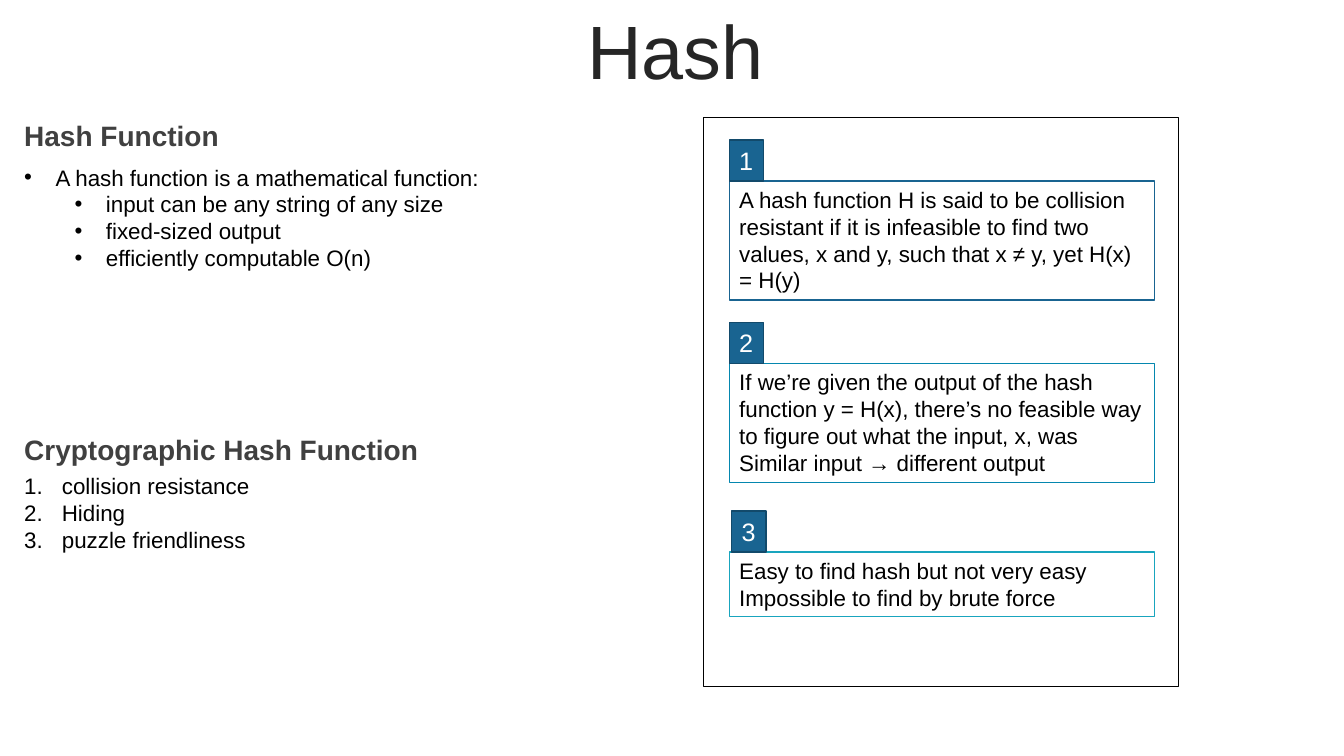
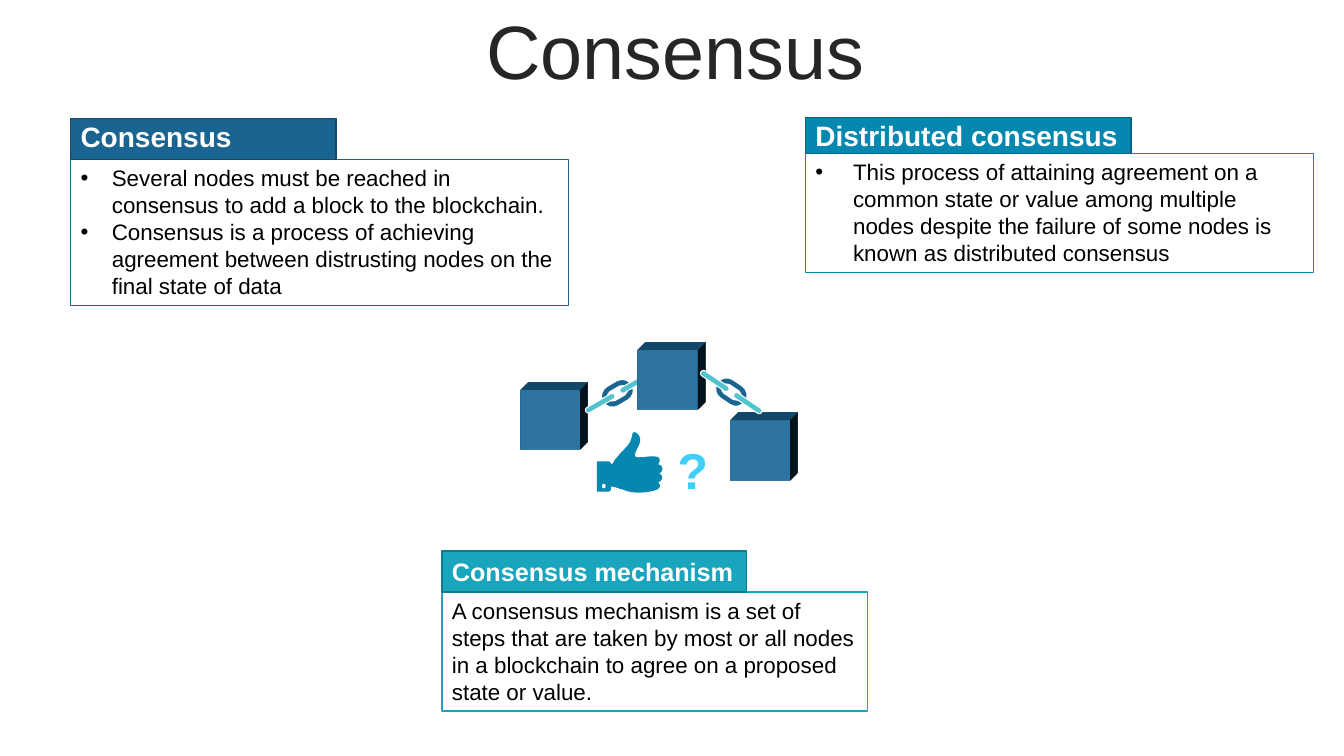
"""Build two slides on hash functions and consensus."""
from math import cos, radians, sin
from typing import NamedTuple

from lxml import etree
from pptx import Presentation
from pptx.dml.color import RGBColor
from pptx.enum.shapes import MSO_SHAPE
from pptx.enum.text import MSO_ANCHOR, PP_ALIGN
from pptx.oxml.ns import qn
from pptx.shapes.base import BaseShape
from pptx.slide import Slide
from pptx.util import Cm, Pt

RECT, PILL = MSO_SHAPE.RECTANGLE, MSO_SHAPE.ROUNDED_RECTANGLE
TOP, MIDDLE = MSO_ANCHOR.TOP, MSO_ANCHOR.MIDDLE
LEFT, CENTER = PP_ALIGN.LEFT, PP_ALIGN.CENTER

FONT = "Arial"
COLORS = {
    "black": "000000", "white": "FFFFFF", "title": "262626", "heading": "404040",
    "navy": "196491", "navy_edge": "124A6B", "blue": "0587AF", "blue_edge": "046481",
    "teal": "19A5BE", "teal_edge": "127A8D", "pin": "53C3CD", "question": "3FCDFA",
}
CUBE_SIDE, CUBE_DEPTH = 1.5, 0.94
RING_STRAIGHT, RING_OUTER, RING_INNER, ARC = 0.28, 0.28, 0.13, 0.55
PIN_WIDTH, PIN_HEIGHT, PIN_OFFSET = 0.84, 0.15, 0.5
THUMB_UNIT = 1.65 / 65
THUMB_HAND = [
    (37, 0), (39, 0, 42, 2, 43, 6), (45, 13, 32, 25, 41, 25), (47, 25, 50, 24, 57, 24),
    (63, 24, 64, 28, 61, 32), (65, 32, 68, 38, 62, 41), (68, 44, 64, 49, 61, 50),
    (64, 53, 63, 55, 60, 57), (53, 60, 36, 62, 26, 57), (21, 56, 18, 54, 14, 54),
    (14, 57), (14, 58, 13, 59, 12, 59), (0, 59), (0, 29), (12, 29),
    (13, 29, 14, 30, 14, 31), (14, 32), (15, 32, 15, 32, 16, 31),
    (17, 29, 18, 27, 21, 24), (26, 17, 33, 14, 35, 4), (35, 1, 36, 0, 37, 0),
]
THUMB_BUTTON = [
    (7, 51), (6, 51, 5, 52, 5, 54), (5, 55, 6, 56, 7, 56),
    (8, 56, 9, 55, 9, 54), (9, 52, 8, 51, 7, 51),
]
Contour = list[tuple[float, ...]]
Box = tuple[float, float, float, float]


class Line(NamedTuple):
    """One paragraph, with its list mark and indent in centimetres."""
    text: str
    mark: str = ""
    margin: float = 0
    hang: float = 0


class Card(NamedTuple):
    """A bordered body with a filled header standing on its top edge."""
    header: str
    header_size: tuple[float, float]
    header_format: dict
    body: list[Line]
    box: Box
    edge: str
    header_fill: str
    shift: float = 0


def color(key: str) -> RGBColor:
    """Look up a palette colour."""
    return RGBColor.from_string(COLORS[key])


def write(shape: BaseShape, lines: list[Line], *, size: float = 16, ink: str = "black",
          bold: bool = False, align: PP_ALIGN = LEFT, anchor: MSO_ANCHOR = TOP,
          spacing: float | None = None, wrap: bool = True) -> None:
    """Fill a shape with formatted paragraphs."""
    frame = shape.text_frame
    frame.word_wrap, frame.vertical_anchor = wrap, anchor
    for index, line in enumerate(lines):
        paragraph = frame.add_paragraph() if index else frame.paragraphs[0]
        if line.mark:
            properties = paragraph._p.get_or_add_pPr()
            properties.set("marL", str(Cm(line.margin)))
            properties.set("indent", str(-Cm(line.hang)))
            etree.SubElement(properties, qn("a:buFont")).set("typeface", FONT)
            if line.mark == "•":
                etree.SubElement(properties, qn("a:buChar")).set("char", line.mark)
            else:
                etree.SubElement(properties, qn("a:buAutoNum")).set("type", "arabicPeriod")
        paragraph.alignment = align
        if spacing:
            paragraph.line_spacing = spacing
        run = paragraph.add_run()
        run.text = line.text
        run.font.name, run.font.size, run.font.bold = FONT, Pt(size), bold
        run.font.color.rgb = color(ink)


def paint(shape: BaseShape, fill: str = "", edge: str = "", weight: float = 1) -> None:
    """Set the fill and outline of a shape and drop its shadow."""
    shape.shadow.inherit = False
    if fill:
        shape.fill.solid()
        shape.fill.fore_color.rgb = color(fill)
    else:
        shape.fill.background()
    if edge:
        shape.line.color.rgb = color(edge)
        shape.line.width = Pt(weight)
    else:
        shape.line.fill.background()


def block(slide: Slide, box: Box, fill: str = "", edge: str = "", weight: float = 1,
          kind: MSO_SHAPE = RECT) -> BaseShape:
    """Draw a preset shape at a box in centimetres."""
    shape = slide.shapes.add_shape(kind, *map(Cm, box))
    paint(shape, fill, edge, weight)
    return shape


def label(slide: Slide, box: Box, lines: list[Line], **text_format) -> None:
    """Place free text at a box in centimetres."""
    write(slide.shapes.add_textbox(*map(Cm, box)), lines, **text_format)


def outline(slide: Slide, contours: list[Contour], x: float, y: float, fill: str,
            edge: str = "", unit: float = 1) -> BaseShape:
    """Draw closed contours of line and cubic curve segments around an origin."""
    builder = None
    for contour in contours:
        points = [(Cm(segment[i] * unit), Cm(segment[i + 1] * unit))
                  for segment in contour for i in range(0, len(segment), 2)]
        if builder:
            builder.move_to(*points[0])
        else:
            builder = slide.shapes.build_freeform(*points[0])
        builder.add_line_segments(points[1:], close=True)
    shape = builder.convert_to_shape(Cm(x), Cm(y))
    steps = iter(list(shape._element.iter(qn("a:lnTo"))))
    for segment in (part for contour in contours for part in contour[1:]):
        step = next(steps)
        if len(segment) == 6:
            step.tag = qn("a:cubicBezTo")
            for _ in range(2):
                extra = next(steps)
                step.append(extra[0])
                extra.getparent().remove(extra)
    paint(shape, fill, edge, 0.75)
    return shape


def stadium(radius: float) -> Contour:
    """Return the outline of one side of a ring with rounded ends."""
    half, end, bend = RING_STRAIGHT / 2, RING_STRAIGHT / 2 + radius, radius * ARC
    reach = half + bend
    return [(-half, -radius), (half, -radius), (reach, -radius, end, -bend, end, 0),
            (end, bend, reach, radius, half, radius), (-half, radius),
            (-reach, radius, -end, bend, -end, 0),
            (-end, -bend, -reach, -radius, -half, -radius)]


def draw_link(slide: Slide, x: float, y: float, angle: float) -> None:
    """Draw a chain link: a ring with a pin at each end."""
    rings = [stadium(RING_INNER), stadium(RING_OUTER)]
    outline(slide, rings, x, y, "navy", "white").rotation = angle
    for side in (1, -1):
        pin_x = x + side * PIN_OFFSET * cos(radians(angle))
        pin_y = y + side * PIN_OFFSET * sin(radians(angle))
        pin = block(slide, (pin_x - PIN_WIDTH / 2, pin_y - PIN_HEIGHT / 2,
                            PIN_WIDTH, PIN_HEIGHT), "pin", "white", 0.75, PILL)
        pin.adjustments[0] = 0.5
        pin.rotation = angle


def draw_cube(slide: Slide, x: float, y: float) -> None:
    """Draw a square extruded to the upper right."""
    face = block(slide, (x, y, CUBE_SIDE, CUBE_SIDE), "navy")
    properties = face._element.spPr
    scene = etree.SubElement(properties, qn("a:scene3d"))
    etree.SubElement(scene, qn("a:camera")).set("prst", "obliqueTopRight")
    light = etree.SubElement(scene, qn("a:lightRig"))
    light.set("rig", "threePt")
    light.set("dir", "t")
    solid = etree.SubElement(properties, qn("a:sp3d"))
    solid.set("extrusionH", str(Cm(CUBE_DEPTH)))


def draw_cards(slide: Slide, cards: list[Card]) -> None:
    """Draw the card bodies, then their headers."""
    for card in cards:
        write(block(slide, card.box, "white", card.edge), card.body)
    for card in cards:
        left, top, _, _ = card.box
        width, height = card.header_size
        header = block(slide, (left + card.shift, top - height, width, height),
                       card.header_fill, f"{card.header_fill}_edge")
        write(header, [Line(card.header)], ink="white", **card.header_format)


def add_slide(deck: Presentation, title: str) -> Slide:
    """Add a blank slide with the shared title."""
    slide = deck.slides.add_slide(deck.slide_layouts[6])
    label(slide, (0.94, 0.38, 32.16, 2.01), [Line(title)], size=54, ink="title",
          align=CENTER, anchor=MIDDLE, spacing=0.9)
    return slide


def build_hash(deck: Presentation) -> None:
    """Build the slide on hash functions."""
    slide = add_slide(deck, "Hash")
    heading = {"size": 20, "ink": "heading", "bold": True}
    label(slide, (0.36, 10.87, 11.07, 0.91), [Line("Cryptographic Hash Function")],
          anchor=MIDDLE, **heading)
    label(slide, (0.36, 2.95, 6.68, 0.79), [Line("Hash Function")], spacing=0.9, **heading)
    traits = ("input can be any string of any size", "fixed-sized output",
              "efficiently computable O(n)")
    label(slide, (0.36, 4, 12.55, 3),
          [Line("A hash function is a mathematical function:", "•", 0.79, 0.79)]
          + [Line(trait, "•", 2.06, 0.79) for trait in traits])
    properties = ("collision resistance", "Hiding", "puzzle friendliness")
    label(slide, (0.36, 11.77, 8.84, 2.31),
          [Line(name, "1.", 0.95, 0.95) for name in properties])
    explanations = [
        (4.56, 3, "navy", 0, [
            "A hash function H is said to be collision resistant if it is infeasible to find "
            "two values, x and y, such that x ≠ y, yet H(x) = H(y)"]),
        (9.16, 3, "blue", 0, [
            "If we’re given the output of the hash function y = H(x), there’s no feasible way "
            "to figure out what the input, x, was",
            "Similar input → different output"]),
        (13.91, 1.63, "teal", 0.06, [
            "Easy to find hash but not very easy", "Impossible to find by brute force"]),
    ]
    draw_cards(slide, [
        Card(str(number), (0.87, 1.03), {"size": 18, "wrap": False},
             [Line(text) for text in texts], (18.38, top, 10.72, height), edge, "navy", shift)
        for number, (top, height, edge, shift, texts) in enumerate(explanations, 1)])
    block(slide, (17.73, 2.95, 11.98, 14.36), edge="black", weight=0.75)


def build_consensus(deck: Presentation) -> None:
    """Build the slide on consensus."""
    slide = add_slide(deck, "Consensus")
    bold = {"size": 20, "bold": True}
    draw_cards(slide, [
        Card("Consensus", (6.69, 1.04), {**bold, "spacing": 0.9},
             [Line("Several nodes must be reached in consensus to add a block to the "
                   "blockchain.", "•", 0.79, 0.79),
              Line("Consensus is a process of achieving agreement between distrusting nodes "
                   "on the final state of data", "•", 0.79, 0.79)],
             (1.78, 4.02, 12.55, 3.68), "navy", "navy"),
        Card("Distributed consensus", (8.2, 0.91), {**bold, "anchor": MIDDLE},
             [Line("This process of attaining agreement on a common state or value among "
                   "multiple nodes despite the failure of some nodes is known as distributed "
                   "consensus", "•", 0.95, 0.95)],
             (20.3, 3.87, 12.8, 3), "blue", "blue"),
        Card("Consensus mechanism", (7.67, 1.03), {"size": 18, "bold": True, "wrap": False},
             [Line("A consensus mechanism is a set of steps that are taken by most or all "
                   "nodes in a blockchain to agree on a proposed state or value.")],
             (11.14, 14.92, 10.72, 3), "teal", "teal"),
    ])
    draw_cube(slide, 13.11, 9.83)
    draw_link(slide, 15.56, 9.91, 330)
    draw_cube(slide, 16.07, 8.82)
    draw_cube(slide, 18.4, 10.6)
    draw_link(slide, 18.43, 9.88, 33.9)
    outline(slide, [THUMB_BUTTON, THUMB_HAND], 15.04, 10.89, "blue", unit=THUMB_UNIT)
    label(slide, (16.82, 10.95, 0.94, 1.8), [Line("?")], size=36, ink="question", bold=True)


def main() -> None:
    """Build and save the deck."""
    deck = Presentation()
    deck.slide_width, deck.slide_height = Cm(33.87), Cm(19.05)
    build_hash(deck)
    build_consensus(deck)
    deck.save("out.pptx")


if __name__ == "__main__":
    main()
